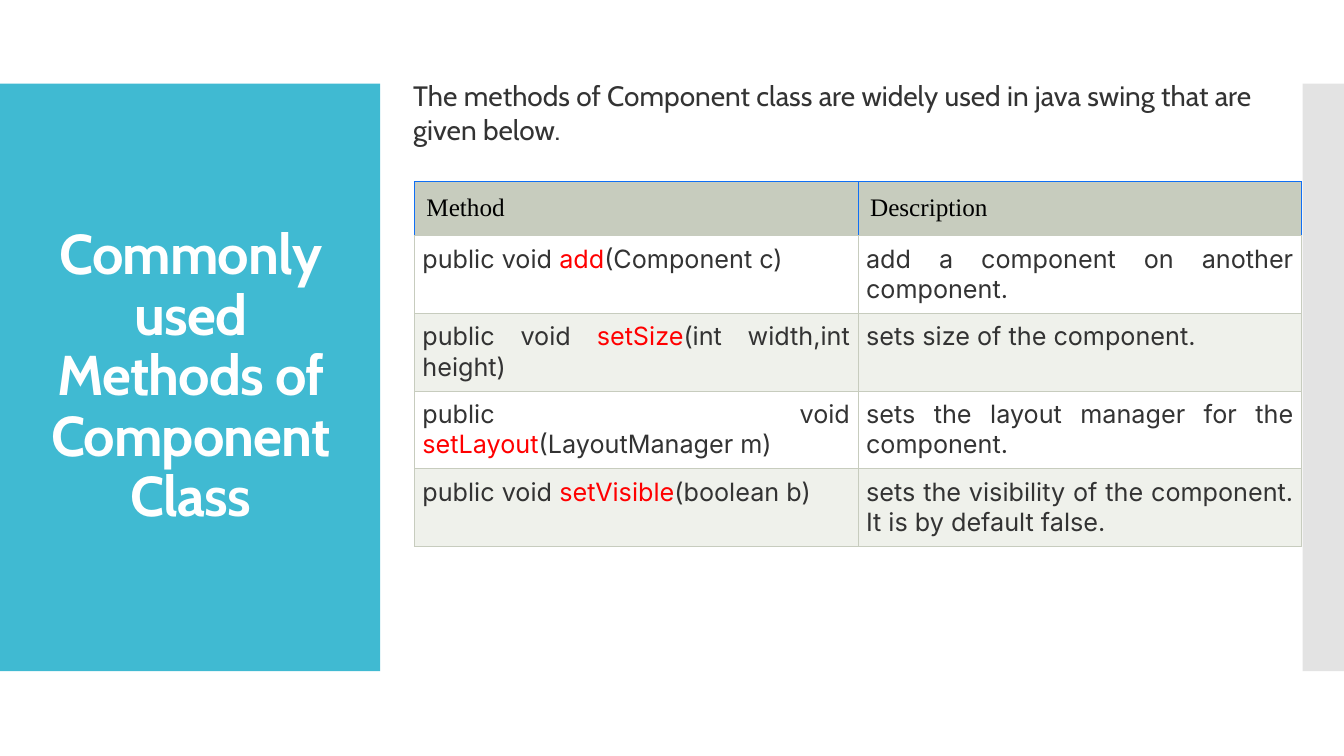
from dataclasses import dataclass

from pptx import Presentation
from pptx.dml.color import RGBColor
from pptx.enum.shapes import MSO_SHAPE as Shape
from pptx.enum.text import MSO_ANCHOR as Anchor, MSO_AUTO_SIZE as AutoSize, PP_ALIGN as Align
from pptx.oxml import parse_xml
from pptx.oxml.ns import nsdecls, qn
from pptx.util import Inches, Pt


@dataclass(frozen=True)
class Theme:
    panel: str = "40BAD2"
    edge: str = "C8C8C8"
    white: str = "FFFFFF"
    ink: str = "333333"
    black: str = "000000"
    accent: str = "FF0000"
    header: str = "C7CCBE"
    band: str = "EFF1EB"
    header_line: str = "106FF4"
    heading_font: str = "Cabin"
    body_font: str = "Inter"
    header_font: str = "Times New Roman"
    title_size: int = 40
    intro_size: int = 20
    table_size: int = 18


THEME = Theme()
TITLE = "Commonly used Methods of Component Class"
INTRO = "The methods of Component class are widely used in java swing that are given below."
HEADERS = ("Method", "Description")
METHODS = (
    ("add", "(Component c)", "add a component on another component."),
    ("setSize", "(int width,int height)", "sets size of the component."),
    ("setLayout", "(LayoutManager m)", "sets the layout manager for the component."),
    ("setVisible", "(boolean b)",
     "sets the visibility of the component. It is by default false."),
)


def style_font(font, name, size, color, bold=False):
    font.name = name
    font.size = Pt(size)
    font.bold = bold
    font.color.rgb = RGBColor.from_string(color)


def add_panel(page, left, width, color, opacity=100):
    panel = page.shapes.add_shape(
        Shape.RECTANGLE, Inches(left), Inches(0.83), Inches(width), Inches(5.83))
    panel.shadow.inherit = False
    panel.fill.solid()
    panel.fill.fore_color.rgb = RGBColor.from_string(color)
    panel.line.fill.background()
    if opacity < 100:
        shade = panel.element.spPr.find(".//" + qn("a:srgbClr"))
        shade.append(parse_xml(f'<a:alpha {nsdecls("a")} val="{opacity * 1000}"/>'))
    page.shapes.title.element.addprevious(panel.element)


def set_title(page):
    title = page.shapes.title
    title.left, title.top = Inches(0.28), Inches(1.23)
    title.width, title.height = Inches(3.22), Inches(5.03)
    frame = title.text_frame
    frame.word_wrap = True
    frame.auto_size = AutoSize.NONE
    frame.vertical_anchor = Anchor.MIDDLE
    para = frame.paragraphs[0]
    span = para.add_run()
    span.text = TITLE
    span.font.element.set("spc", "-60") if hasattr(span.font, "element") else None
    para.alignment = Align.CENTER
    para.line_spacing = 0.9
    style_font(para.font, THEME.heading_font, THEME.title_size, THEME.white, True)
    span._r.get_or_add_rPr().set("spc", "-60")


def add_intro(page):
    box = page.shapes.add_textbox(Inches(4), Inches(0.73), Inches(8.91), Inches(0.77))
    frame = box.text_frame
    frame.word_wrap = True
    frame.auto_size = AutoSize.SHAPE_TO_FIT_TEXT
    para = frame.paragraphs[0]
    para.text = INTRO
    style_font(para.font, THEME.heading_font, THEME.intro_size, THEME.ink)


def set_borders(cell, side_color, bottom_color):
    properties = cell._tc.get_or_add_tcPr()
    colors = (side_color, side_color, side_color, bottom_color)
    for position, (side, color) in enumerate(zip("LRTB", colors)):
        properties.insert(position, parse_xml(
            f'<a:ln{side} {nsdecls("a")} w="{Pt(0.75)}"><a:solidFill>'
            f'<a:srgbClr val="{color}"/></a:solidFill></a:ln{side}>'))


def format_cell(cell, fill, inset, line):
    cell.fill.solid()
    cell.fill.fore_color.rgb = RGBColor.from_string(fill)
    cell.margin_left = cell.margin_right = Inches(inset)
    cell.margin_top = cell.margin_bottom = Inches(inset)
    set_borders(cell, line, THEME.header)


def fill_header(cell, text):
    format_cell(cell, THEME.header, 0.12, THEME.header_line)
    para = cell.text_frame.paragraphs[0]
    para.text = text
    style_font(para.font, THEME.header_font, THEME.table_size, THEME.black)


def fill_body(cell, spans, fill):
    format_cell(cell, fill, 0.08, THEME.header)
    para = cell.text_frame.paragraphs[0]
    para.alignment = Align.JUSTIFY
    for text, color in spans:
        span = para.add_run()
        span.text = text
        style_font(span.font, THEME.body_font, THEME.table_size, color)


def add_methods_table(page):
    table = page.shapes.add_table(
        len(METHODS) + 1, len(HEADERS),
        Inches(4.11), Inches(1.8), Inches(8.8), Inches(3.62)).table
    for column in table.columns:
        column.width = Inches(4.4)
    for index, row in enumerate(table.rows):
        row.height = Inches(0.77 if index else 0.54)
    for cell, text in zip(table.rows[0].cells, HEADERS):
        fill_header(cell, text)
    for index, (name, arguments, description) in enumerate(METHODS, 1):
        fill = THEME.white if index % 2 else THEME.band
        signature = (("public void ", THEME.ink), (name, THEME.accent), (arguments, THEME.ink))
        fill_body(table.cell(index, 0), signature, fill)
        fill_body(table.cell(index, 1), ((description, THEME.ink),), fill)


def main():
    deck = Presentation()
    deck.slide_width, deck.slide_height = Inches(13.33), Inches(7.5)
    page = deck.slides.add_slide(deck.slide_layouts[5])
    add_panel(page, 0, 3.77, THEME.panel)
    add_panel(page, 12.92, 0.41, THEME.edge, 50)
    set_title(page)
    add_intro(page)
    add_methods_table(page)
    deck.save("out.pptx")


if __name__ == "__main__":
    main()
